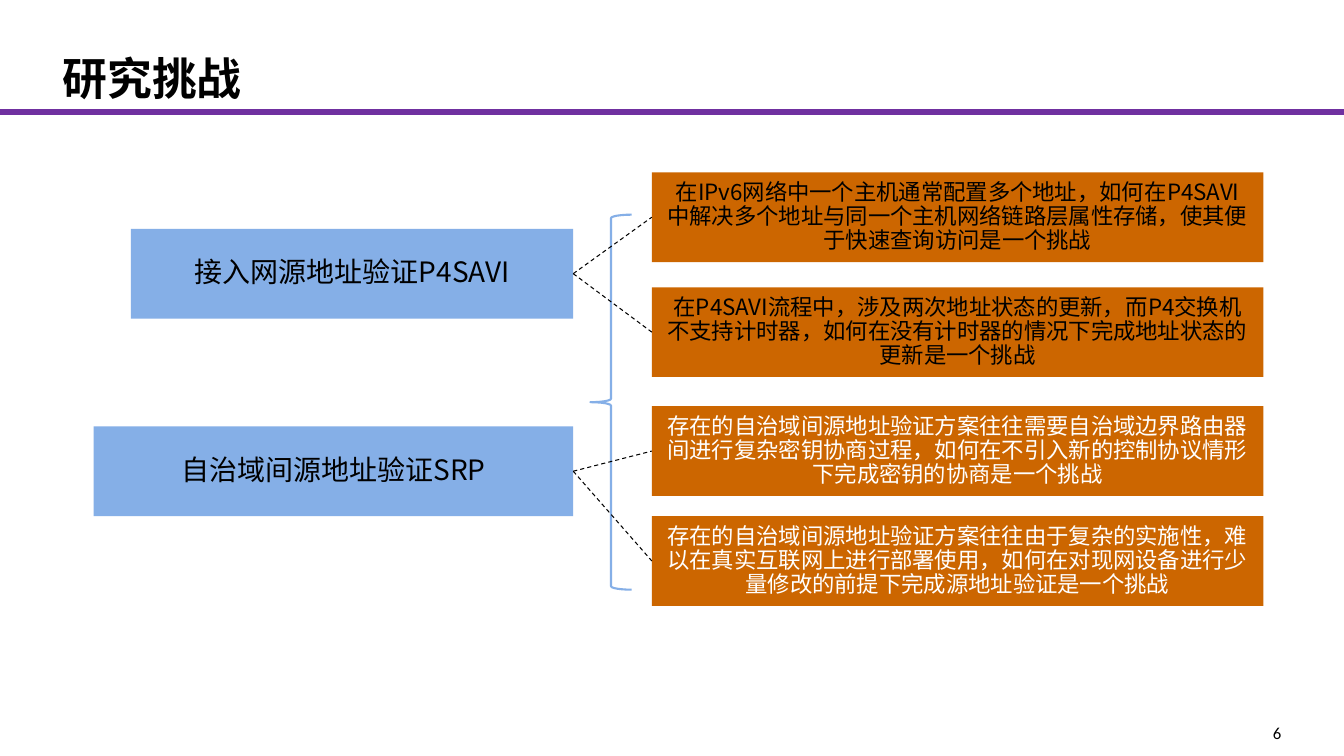
from dataclasses import dataclass

from lxml.etree import SubElement
from pptx import Presentation
from pptx.dml.color import RGBColor
from pptx.enum.dml import MSO_LINE_DASH_STYLE as Dash
from pptx.enum.shapes import MSO_CONNECTOR as Connector, MSO_SHAPE as Shape
from pptx.enum.text import MSO_ANCHOR as Anchor, MSO_AUTO_SIZE as AutoSize, PP_ALIGN as Align
from pptx.oxml.ns import qn
from pptx.util import Inches, Pt


@dataclass(frozen=True)
class Theme:
    font: str = "Noto Sans CJK SC"
    number_font: str = "Calibri"
    black: RGBColor = RGBColor(0x00, 0x00, 0x00)
    white: RGBColor = RGBColor(0xFF, 0xFF, 0xFF)
    purple: RGBColor = RGBColor(0x70, 0x30, 0xA0)
    blue: RGBColor = RGBColor(0x85, 0xAF, 0xE7)
    orange: RGBColor = RGBColor(0xCC, 0x66, 0x00)
    title_size: int = 32
    topic_size: int = 20
    challenge_size: int = 16
    number_size: int = 12


class SlideBuilder:
    def __init__(self, slide, theme):
        self.slide = slide
        self.theme = theme

    def set_text(self, frame, text, size, color, align, font=None, bold=False, margins=(0, 0)):
        """Fill a text frame with one paragraph; margins are (sides, top and bottom)."""
        frame.margin_left = frame.margin_right = Inches(margins[0])
        frame.margin_top = frame.margin_bottom = Inches(margins[1])
        frame.auto_size = AutoSize.NONE
        paragraph = frame.paragraphs[0]
        paragraph.text = text
        paragraph.alignment = align
        paragraph.font.size = Pt(size)
        paragraph.font.bold = bold
        paragraph.font.color.rgb = color
        paragraph.font.name = font or self.theme.font
        east_asian = SubElement(paragraph._p.pPr.find(qn("a:defRPr")), qn("a:ea"))
        east_asian.set("typeface", self.theme.font)
        return paragraph

    def title(self, text):
        title = self.slide.shapes.title
        title.left, title.top = Inches(0.62), Inches(0.18)
        title.width, title.height = Inches(12.11), Inches(0.91)
        title.text_frame.vertical_anchor = Anchor.BOTTOM
        self.set_text(title.text_frame, text, self.theme.title_size, self.theme.black,
                      Align.LEFT, bold=True, margins=(0, 0.05))

    def slide_number(self, text):
        box = self.slide.shapes.add_textbox(Inches(12.42), Inches(7.17), Inches(0.3), Inches(0.2))
        self.set_text(box.text_frame, text, self.theme.number_size, self.theme.black,
                      Align.RIGHT, font=self.theme.number_font)

    def box(self, left, top, width, text, fill, size, color):
        shape = self.slide.shapes.add_shape(
            Shape.RECTANGLE, Inches(left), Inches(top), Inches(width), Inches(0.89))
        shape.shadow.inherit = False
        shape.fill.solid()
        shape.fill.fore_color.rgb = fill
        shape.line.fill.background()
        frame = shape.text_frame
        frame.word_wrap = True
        frame.vertical_anchor = Anchor.MIDDLE
        paragraph = self.set_text(frame, text, size, color, Align.CENTER, margins=(0.13, 0.13))
        paragraph.line_spacing = 0.9
        return shape

    def brace(self, left, top, width, height):
        shape = self.slide.shapes.add_shape(
            Shape.LEFT_BRACE, Inches(left), Inches(top), Inches(width), Inches(height))
        shape.shadow.inherit = False
        shape.fill.solid()
        shape.fill.fore_color.rgb = self.theme.white
        shape.line.color.rgb = self.theme.blue
        shape.line.width = Pt(1.5)

    def line(self, color, width, start=(0, 0), end=(0, 0)):
        connector = self.slide.shapes.add_connector(
            Connector.STRAIGHT, *(Inches(value) for value in (*start, *end)))
        connector.line.color.rgb = color
        connector.line.width = Pt(width)
        SubElement(connector._element.spPr, qn("a:effectLst"))
        return connector

    def link(self, topic, challenge):
        """Join a topic's right side to a challenge's left side with a dashed line."""
        connector = self.line(self.theme.black, 0.75)
        connector.line.dash_style = Dash.DASH
        connector.begin_connect(topic, 3)
        connector.end_connect(challenge, 1)


# Each topic: left, top, text, challenge text colour, challenges as (top, text)
TOPICS = [
    (1.3, 2.27, "接入网源地址验证P4SAVI", Theme.black, [
        (1.71, "在IPv6网络中一个主机通常配置多个地址，如何在P4SAVI中解决多个地址与"
               "同一个主机网络链路层属性存储，使其便于快速查询访问是一个挑战"),
        (2.85, "在P4SAVI流程中，涉及两次地址状态的更新，而P4交换机不支持计时器，"
               "如何在没有计时器的情况下完成地址状态的更新是一个挑战"),
    ]),
    (0.93, 4.23, "自治域间源地址验证SRP", Theme.white, [
        (4.03, "存在的自治域间源地址验证方案往往需要自治域边界路由器间进行复杂密钥协商过程，"
               "如何在不引入新的控制协议情形下完成密钥的协商是一个挑战"),
        (5.12, "存在的自治域间源地址验证方案往往由于复杂的实施性，难以在真实互联网上进行部署使用，"
               "如何在对现网设备进行少量修改的前提下完成源地址验证是一个挑战"),
    ]),
]
TOPIC_RIGHT = 5.69
CHALLENGE_LEFT, CHALLENGE_WIDTH = 6.47, 6.07


def main():
    presentation = Presentation()
    presentation.slide_width, presentation.slide_height = Inches(13.34), Inches(7.5)
    theme = Theme()
    builder = SlideBuilder(presentation.slides.add_slide(presentation.slide_layouts[5]), theme)

    builder.slide_number("6")
    builder.line(theme.purple, 4.25, (0, 1.11), (13.34, 1.11))
    builder.title("研究挑战")
    builder.brace(5.86, 2.13, 0.41, 3.72)
    for left, top, text, color, challenges in TOPICS:
        topic = builder.box(left, top, TOPIC_RIGHT - left, text,
                            theme.blue, theme.topic_size, theme.black)
        for challenge_top, challenge_text in challenges:
            challenge = builder.box(CHALLENGE_LEFT, challenge_top, CHALLENGE_WIDTH,
                                    challenge_text, theme.orange, theme.challenge_size, color)
            builder.link(topic, challenge)
    presentation.save("out.pptx")


if __name__ == "__main__":
    main()
